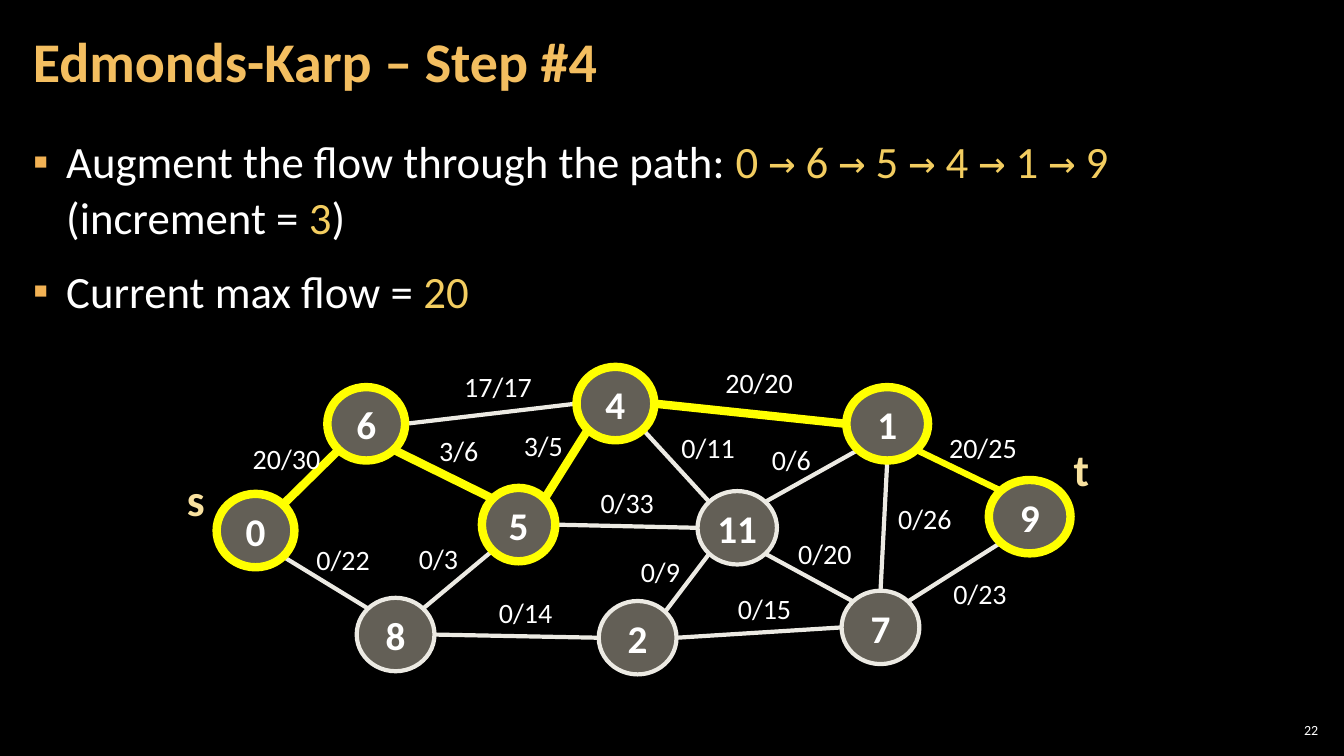
"""Build the slide on step 4 of the Edmonds-Karp flow."""
from math import sqrt
from lxml.etree import SubElement as Sub
from pptx import Presentation as Deck
from pptx.dml.color import RGBColor as Rgb
from pptx.enum.shapes import MSO_CONNECTOR as Link, MSO_SHAPE as Form
from pptx.enum.text import MSO_ANCHOR as Anchor, PP_ALIGN as Align
from pptx.oxml.ns import qn
from pptx.util import Cm, Pt

HUES = {"back": "000000", "text": "FFFFFF", "title": "F3BE60", "mark": "F3CD60",
        "dot": "F2B254", "node": "C7BFAC", "line": "ECEAE3", "path": "FFFF00",
        "end": "F8E19F"}
SANS, MONO = "Calibri", "DejaVu Sans Mono"
HIGH = 1.85
HALF = sqrt(0.5)
SIDES = {"N": (0, -1), "S": (0, 1), "W": (-1, 0), "E": (1, 0),
         "NW": (-HALF, -HALF), "NE": (HALF, -HALF),
         "SW": (-HALF, HALF), "SE": (HALF, HALF)}

NODES = {
    "0": (6.44, 13.37, 1.96, "path"),
    "1": (22.36, 10.68, 2.06, "path"),
    "2": (16.07, 16.07, 1.96, "line"),
    "4": (15.51, 10.17, 1.96, "path"),
    "5": (13.07, 13.22, 1.85, "path"),
    "6": (9.23, 10.68, 1.96, "path"),
    "7": (22.19, 15.81, 1.96, "line"),
    "8": (9.97, 15.99, 1.96, "line"),
    "9": (25.95, 13.02, 2.06, "path"),
    "11": (18.58, 13.3, 2, "line"),
}
EDGES = [
    ("0", "NE", "6", "SW", "path", 6, "20/30", 7.24, 11.56),
    ("6", "SE", "5", "NW", "path", 6, "3/6", 11.57, 11.35),
    ("5", "NE", "4", "SW", "path", 6, "3/5", 13.7, 11.23),
    ("4", "E", "1", "W", "path", 6, "20/20", 19.15, 9.65),
    ("1", "SE", "9", "NW", "path", 4.5, "20/25", 24.79, 11.28),
    ("0", "SE", "8", "NW", "line", 3, "0/22", 8.66, 14.1),
    ("6", "E", "4", "W", "line", 3, "17/17", 12.57, 9.73),
    ("5", "E", "11", "W", "line", 3, "0/33", 15.82, 12.67),
    ("5", "SW", "8", "NE", "line", 3, "0/3", 11.06, 14.07),
    ("8", "E", "2", "W", "line", 3, "0/14", 13.26, 15.44),
    ("2", "NE", "11", "SW", "line", 3, "0/9", 16.65, 14.4),
    ("2", "E", "7", "W", "line", 3, "0/15", 19.28, 15.34),
    ("4", "SE", "11", "NW", "line", 3, "0/11", 17.86, 11.28),
    ("11", "NE", "1", "SW", "line", 3, "0/6", 19.95, 11.58),
    ("11", "SE", "7", "NW", "line", 3, "0/20", 20.8, 13.94),
    ("7", "N", "1", "S", "line", 3, "0/26", 23.32, 13.08),
    ("7", "NE", "9", "SW", "line", 3, "0/23", 24.71, 14.96),
]


class Board:
    """Holds the style and the current slide."""

    def __init__(self, slide):
        self.slide = slide
        self.items = slide.shapes
        fill = slide.background.fill
        fill.solid()
        fill.fore_color.rgb = self.hue("back")

    def hue(self, name):
        return Rgb.from_string(HUES[name])

    def run(self, para, text, size, hue="text", bold=False, face=SANS):
        run = para.add_run()
        run.text = text
        font = run.font
        font.size, font.bold, font.name = Pt(size), bold, face
        font.color.rgb = self.hue(hue)

    def pad(self, frame, side, top):
        frame.margin_left = frame.margin_right = Cm(side)
        frame.margin_top = frame.margin_bottom = Cm(top)

    def box(self, left, top, wide, high, side=0.3, anchor=Anchor.TOP, wrap=True):
        item = self.items.add_textbox(Cm(left), Cm(top), Cm(wide), Cm(high))
        frame = item.text_frame
        frame.word_wrap = wrap
        frame.vertical_anchor = anchor
        self.pad(frame, side, 0.1)
        return frame

    def bullet(self, para, runs):
        para.line_spacing = 1.05
        para.space_before = para.space_after = Pt(6)
        props = para._p.get_or_add_pPr()
        props.set("marL", str(Cm(0.84)))
        props.set("indent", str(-Cm(0.84)))
        tint = Sub(props, qn("a:buClr"))
        Sub(tint, qn("a:srgbClr"), val=HUES["dot"])
        Sub(props, qn("a:buFont"), typeface="Arial")
        Sub(props, qn("a:buChar"), char="▪")
        for text, hue, face in runs:
            self.run(para, text, 32, hue, face=face)

    def label(self, text, x, y, wide, high, size=20, hue="text", bold=False):
        frame = self.box(x - wide / 2, y - high / 2, wide, high, 0.25, wrap=False)
        self.pad(frame, 0.25, 0.13)
        self.run(frame.paragraphs[0], text, size, hue, bold)

    def rim(self, name, side):
        x, y, wide, _ = NODES[name]
        dx, dy = SIDES[side]
        return Cm(x + dx * wide / 2), Cm(y + dy * HIGH / 2)

    def edge(self, start, out, end, into, hue, width):
        line = self.items.add_connector(
            Link.STRAIGHT, *self.rim(start, out), *self.rim(end, into))
        line.line.color.rgb = self.hue(hue)
        line.line.width = Pt(width)
        Sub(line._element.spPr, qn("a:effectLst"))

    def node(self, name, x, y, wide, hue):
        item = self.items.add_shape(
            Form.OVAL, Cm(x - wide / 2), Cm(y - HIGH / 2), Cm(wide), Cm(HIGH))
        item.shadow.inherit = False
        item.fill.solid()
        item.fill.fore_color.rgb = self.hue("node")
        tint = item._element.spPr.find(qn("a:solidFill"))[0]
        Sub(tint, qn("a:alpha"), val="50000")
        item.line.color.rgb = self.hue(hue)
        item.line.width = Pt(6 if hue == "path" else 3)
        frame = item.text_frame
        frame.word_wrap = False
        frame.vertical_anchor = Anchor.MIDDLE
        self.pad(frame, 0.1, 0.13)
        para = frame.paragraphs[0]
        para.alignment = Align.CENTER
        self.run(para, name, 28, bold=True)


def main():
    deck = Deck()
    deck.slide_width, deck.slide_height = Cm(33.87), Cm(19.05)
    board = Board(deck.slides.add_slide(deck.slide_layouts[6]))

    para = board.box(32.13, 18.14, 1.19, 0.53, 0.1, Anchor.MIDDLE).paragraphs[0]
    para.alignment = Align.RIGHT
    board.run(para, "22", 10)

    para = board.box(0.53, 0.1, 26.59, 3.07, anchor=Anchor.MIDDLE).paragraphs[0]
    para.line_spacing = 0.9
    board.run(para, "Edmonds-Karp – Step #4", 40, "title", True)

    route = [("0 ", "mark", SANS)]
    for stop in (" 6 ", " 5 ", " 4 ", " 1 ", " 9"):
        route += [("→", "mark", MONO), (stop, "mark", SANS)]
    body = board.box(0.53, 3.2, 32.79, 15.47)
    board.bullet(body.paragraphs[0], [
        ("Augment the flow through the path: ", "text", SANS), *route,
        (" (increment = ", "text", SANS), ("3", "mark", SANS), (")", "text", SANS)])
    board.bullet(body.add_paragraph(), [
        ("Current max flow = ", "text", SANS), ("20", "mark", SANS)])

    for edge in EDGES:
        board.edge(*edge[:6])
    for name, spot in NODES.items():
        board.node(name, *spot)
    for *_, text, x, y in EDGES:
        board.label(text, x, y, 0.39 + 0.37 * len(text), 1.12)
    for text, x, y in (("s", 4.93, 12.57), ("t", 27.28, 11.81)):
        board.label(text, x, y, 0.94, 1.63, 32, "end", True)

    deck.save("out.pptx")


if __name__ == "__main__":
    main()
